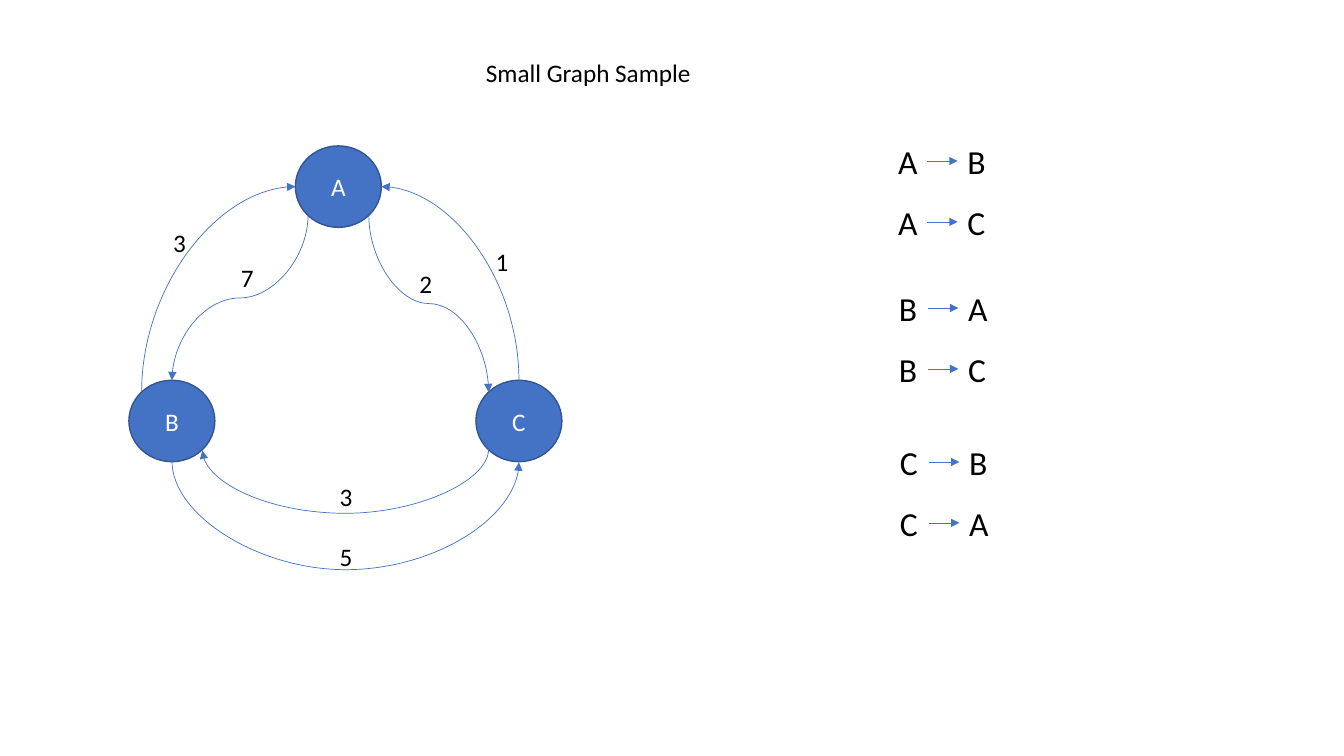
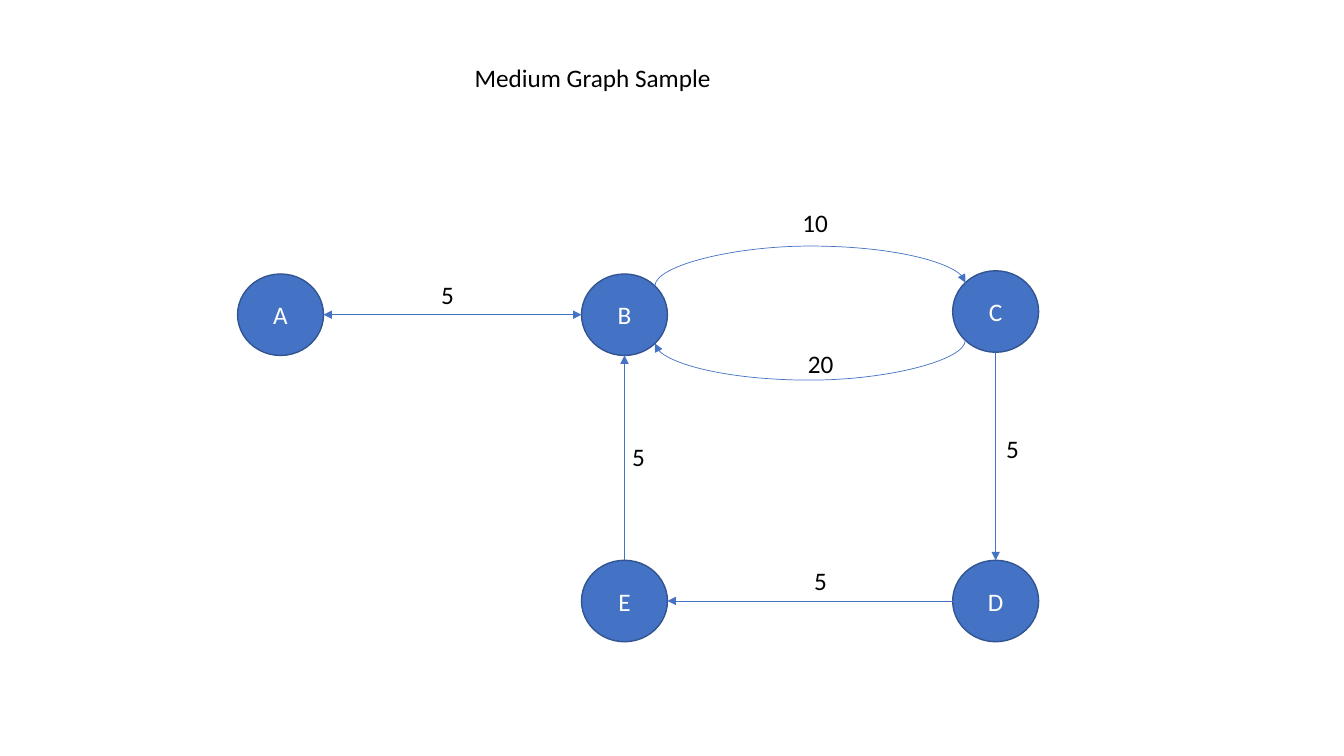
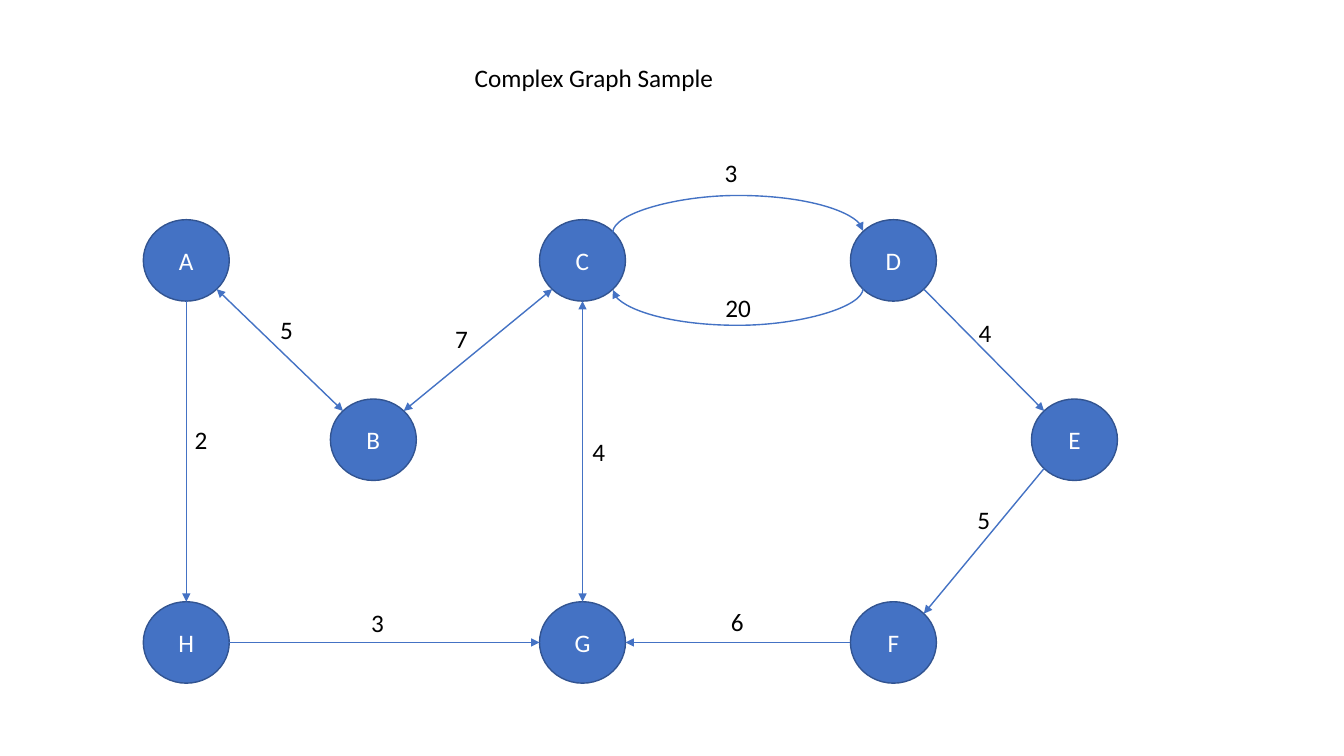
import enum
import math
from dataclasses import dataclass

import lxml.etree
import pptx
import pptx.dml.color
import pptx.enum.shapes
import pptx.enum.text
import pptx.oxml.ns
import pptx.presentation
import pptx.shapes.autoshape
import pptx.shapes.connector
import pptx.slide
import pptx.text.text
import pptx.util

Pt = pptx.util.Pt
qn = pptx.oxml.ns.qn

BLUE = pptx.dml.color.RGBColor(0x44, 0x72, 0xC4)
DARK_BLUE = pptx.dml.color.RGBColor(0x32, 0x54, 0x91)
WHITE = pptx.dml.color.RGBColor(0xFF, 0xFF, 0xFF)
BLACK = pptx.dml.color.RGBColor(0x00, 0x00, 0x00)
FONT = "Calibri"
BODY_SIZE = 18
PAIR_SIZE = 24
NODE_WIDTH = 61.4
NODE_HEIGHT = 58.2
THIN = 0.5
REGULAR = 1


class Site(enum.IntEnum):
    TOP = 0
    TOP_LEFT = 1
    LEFT = 2
    BOTTOM_LEFT = 3
    BOTTOM = 4
    BOTTOM_RIGHT = 5
    RIGHT = 6
    TOP_RIGHT = 7


UPWARD_SITES = (Site.TOP, Site.TOP_LEFT, Site.TOP_RIGHT)


class Route(enum.Enum):
    STRAIGHT = "line"
    CORNER = "curvedConnector2"
    BEND = "curvedConnector3"


@dataclass(frozen=True)
class Node:
    name: str
    left: float
    top: float

    def point(self, site: Site) -> tuple[float, float]:
        angle = math.radians(45 * site)
        return (
            self.left + NODE_WIDTH / 2 * (1 - math.sin(angle)),
            self.top + NODE_HEIGHT / 2 * (1 - math.cos(angle)),
        )


@dataclass(frozen=True)
class Edge:
    start: str
    start_site: Site
    end: str
    end_site: Site
    weight: str
    label_left: float
    label_top: float
    route: Route = Route.STRAIGHT
    depth: float = 0
    two_way: bool = False


@dataclass(frozen=True)
class Graph:
    title: str
    title_left: float
    title_top: float
    title_width: float
    line_width: float
    nodes: tuple[Node, ...]
    edges: tuple[Edge, ...]


@dataclass(frozen=True)
class PairGroup:
    left: float
    top: float
    pairs: tuple[str, ...]


SMALL = Graph(
    "Small Graph Sample", 340, 37.5, 163, THIN,
    (Node("A", 211, 104.2), Node("B", 92.1, 271.6), Node("C", 340, 271.6)),
    (
        Edge("A", Site.BOTTOM_RIGHT, "C", Site.TOP_LEFT, "2", 292.5, 188, Route.BEND, 63),
        Edge("C", Site.TOP, "A", Site.RIGHT, "1", 347, 172.5, Route.CORNER),
        Edge("B", Site.TOP_LEFT, "A", Site.LEFT, "3", 116.5, 158.5, Route.CORNER),
        Edge("A", Site.BOTTOM_LEFT, "B", Site.TOP, "7", 165, 183.5, Route.BEND, 59),
        Edge("B", Site.BOTTOM, "C", Site.BOTTOM, "5", 235.5, 383, Route.BEND, 78.25),
        Edge("C", Site.BOTTOM_LEFT, "B", Site.BOTTOM_RIGHT, "3", 235.5, 340.5, Route.BEND, 46.25),
    ),
)

MEDIUM = Graph(
    "Medium Graph Sample", 332, 41, 185, THIN,
    (
        Node("A", 169.7, 195.7), Node("B", 415.4, 195.7), Node("C", 680.5, 193.4),
        Node("D", 680.5, 400.2), Node("E", 415.4, 400.2),
    ),
    (
        Edge("B", Site.LEFT, "A", Site.RIGHT, "5", 308, 196, two_way=True),
        Edge("B", Site.TOP_RIGHT, "C", Site.TOP_LEFT, "10", 566, 144.5, Route.BEND, 28.5),
        Edge("C", Site.BOTTOM_LEFT, "B", Site.BOTTOM_RIGHT, "20", 570, 245.5, Route.BEND, 28.5),
        Edge("C", Site.BOTTOM, "D", Site.TOP, "5", 711.5, 306),
        Edge("D", Site.LEFT, "E", Site.RIGHT, "5", 574.5, 400.5),
        Edge("E", Site.TOP, "B", Site.BOTTOM, "5", 444.5, 311.5),
    ),
)

COMPLEX = Graph(
    "Complex Graph Sample", 332, 41, 186.5, REGULAR,
    (
        Node("A", 102.4, 156.9), Node("B", 236, 285), Node("C", 385.4, 156.9),
        Node("D", 607.5, 156.9), Node("E", 736.8, 285), Node("F", 607.5, 429.8),
        Node("G", 385.4, 429.8), Node("H", 102.4, 429.8),
    ),
    (
        Edge("A", Site.BOTTOM, "H", Site.TOP, "2", 132, 299.5),
        Edge("H", Site.RIGHT, "G", Site.LEFT, "3", 258, 430.5),
        Edge("F", Site.LEFT, "G", Site.RIGHT, "6", 515, 429.5),
        Edge("C", Site.TOP_RIGHT, "D", Site.TOP_LEFT, "3", 510.5, 108.5, Route.BEND, 26.5),
        Edge("D", Site.BOTTOM_LEFT, "C", Site.BOTTOM_RIGHT, "20", 511, 205, Route.BEND, 26.5),
        Edge("C", Site.BOTTOM, "G", Site.TOP, "4", 416, 308, two_way=True),
        Edge("A", Site.BOTTOM_RIGHT, "B", Site.TOP_LEFT, "5", 193, 221, two_way=True),
        Edge("C", Site.BOTTOM_LEFT, "B", Site.TOP_RIGHT, "7", 318, 227.5, two_way=True),
        Edge("D", Site.BOTTOM_RIGHT, "E", Site.TOP_LEFT, "4", 692, 223),
        Edge("E", Site.BOTTOM_LEFT, "F", Site.TOP_RIGHT, "5", 691, 356.5),
    ),
)

PAIR_GROUPS = (
    PairGroup(634.5, 97, ("AB", "AC")),
    PairGroup(635, 202, ("BA", "BC")),
    PairGroup(635.75, 312, ("CB", "CA")),
)
PAIR_ROW_STEP = 43.5
PAIR_COLUMN_STEP = 49.5
PAIR_LETTER_WIDTH = 28
PAIR_LETTER_HEIGHT = 36


def style_text(frame: pptx.text.text.TextFrame, size: float, color: pptx.dml.color.RGBColor) -> None:
    for para in frame.paragraphs:
        for span in para.runs:
            span.font.name = FONT
            span.font.size = Pt(size)
            span.font.color.rgb = color


def add_text(
    page: pptx.slide.Slide, text: str, left: float, top: float,
    width: float, height: float = 29, size: float = BODY_SIZE,
) -> None:
    box = page.shapes.add_textbox(Pt(left), Pt(top), Pt(width), Pt(height))
    frame = box.text_frame
    frame.text = text
    frame.word_wrap = False
    frame.auto_size = pptx.enum.text.MSO_AUTO_SIZE.SHAPE_TO_FIT_TEXT
    style_text(frame, size, BLACK)


def add_node(page: pptx.slide.Slide, node: Node) -> pptx.shapes.autoshape.Shape:
    circle = page.shapes.add_shape(
        pptx.enum.shapes.MSO_SHAPE.OVAL,
        Pt(node.left), Pt(node.top), Pt(NODE_WIDTH), Pt(NODE_HEIGHT),
    )
    circle.shadow.inherit = False
    circle.fill.solid()
    circle.fill.fore_color.rgb = BLUE
    circle.line.color.rgb = DARK_BLUE
    circle.line.width = Pt(1)
    frame = circle.text_frame
    frame.text = node.name
    frame.vertical_anchor = pptx.enum.text.MSO_ANCHOR.MIDDLE
    frame.paragraphs[0].alignment = pptx.enum.text.PP_ALIGN.CENTER
    style_text(frame, BODY_SIZE, WHITE)
    return circle


def style_arrow(
    arrow: pptx.shapes.connector.Connector, line_width: float, two_way: bool = False,
) -> None:
    arrow.line.color.rgb = BLUE
    arrow.line.width = Pt(line_width)
    properties = arrow._element.spPr
    line = properties.find(qn("a:ln"))
    for end in ("a:headEnd", "a:tailEnd") if two_way else ("a:tailEnd",):
        lxml.etree.SubElement(line, qn(end), type="triangle")
    lxml.etree.SubElement(properties, qn("a:effectLst"))


def add_straight(
    page: pptx.slide.Slide, start: tuple[float, float], end: tuple[float, float],
) -> pptx.shapes.connector.Connector:
    return page.shapes.add_connector(
        pptx.enum.shapes.MSO_CONNECTOR.STRAIGHT, *(Pt(value) for value in start + end)
    )


def add_curve(
    page: pptx.slide.Slide, edge: Edge, start: tuple[float, float], end: tuple[float, float],
) -> pptx.shapes.connector.Connector:
    length = max(abs(end[1] - start[1]), 1)
    breadth = abs(end[0] - start[0])
    left = (start[0] + end[0] - length) / 2
    top = (start[1] + end[1] - breadth) / 2
    curve = page.shapes.add_connector(
        pptx.enum.shapes.MSO_CONNECTOR.CURVE,
        Pt(left), Pt(top), Pt(left + length), Pt(top + breadth),
    )
    upward = edge.start_site in UPWARD_SITES
    rightward = end[0] > start[0]
    curve.rotation = 90 if upward == rightward else 270
    properties = curve._element.spPr
    frame = properties.find(qn("a:xfrm"))
    if rightward:
        frame.set("flipH", "1")
    if upward:
        frame.set("flipV", "1")
    geometry = properties.find(qn("a:prstGeom"))
    geometry.set("prst", edge.route.value)
    if edge.route is Route.BEND:
        amount = round(edge.depth / length * 100000)
        lxml.etree.SubElement(
            geometry.find(qn("a:avLst")), qn("a:gd"), name="adj1", fmla=f"val {amount}"
        )
    return curve


def add_edge(
    page: pptx.slide.Slide, edge: Edge, nodes: dict[str, Node],
    circles: dict[str, pptx.shapes.autoshape.Shape], line_width: float,
) -> None:
    start = nodes[edge.start].point(edge.start_site)
    end = nodes[edge.end].point(edge.end_site)
    if edge.route is Route.STRAIGHT:
        arrow = add_straight(page, start, end)
    else:
        arrow = add_curve(page, edge, start, end)
    style_arrow(arrow, line_width, edge.two_way)
    links = arrow._element.nvCxnSpPr.cNvCxnSpPr
    for tag, name, site in (
        ("a:stCxn", edge.start, edge.start_site),
        ("a:endCxn", edge.end, edge.end_site),
    ):
        lxml.etree.SubElement(
            links, qn(tag), id=str(circles[name].shape_id), idx=str(site.value)
        )
    label_width = 14.4 + 9.1 * len(edge.weight)
    add_text(page, edge.weight, edge.label_left, edge.label_top, label_width)


def add_graph(deck: pptx.presentation.Presentation, graph: Graph) -> pptx.slide.Slide:
    page = deck.slides.add_slide(deck.slide_layouts[6])
    add_text(page, graph.title, graph.title_left, graph.title_top, graph.title_width)
    nodes = {node.name: node for node in graph.nodes}
    circles = {node.name: add_node(page, node) for node in graph.nodes}
    for edge in graph.edges:
        add_edge(page, edge, nodes, circles, graph.line_width)
    return page


def add_pairs(page: pptx.slide.Slide, group: PairGroup) -> None:
    for row, pair in enumerate(group.pairs):
        top = group.top + row * PAIR_ROW_STEP
        for column, letter in enumerate(pair):
            add_text(
                page, letter, group.left + column * PAIR_COLUMN_STEP, top,
                PAIR_LETTER_WIDTH, PAIR_LETTER_HEIGHT, PAIR_SIZE,
            )
        middle = top + PAIR_LETTER_HEIGHT / 2
        arrow = add_straight(
            page,
            (group.left + PAIR_LETTER_WIDTH, middle),
            (group.left + PAIR_COLUMN_STEP, middle),
        )
        style_arrow(arrow, THIN)


def main() -> None:
    deck = pptx.Presentation()
    deck.slide_width = Pt(960)
    deck.slide_height = Pt(540)
    small_page = add_graph(deck, SMALL)
    for group in PAIR_GROUPS:
        add_pairs(small_page, group)
    add_graph(deck, MEDIUM)
    add_graph(deck, COMPLEX)
    deck.save("out.pptx")


main()
